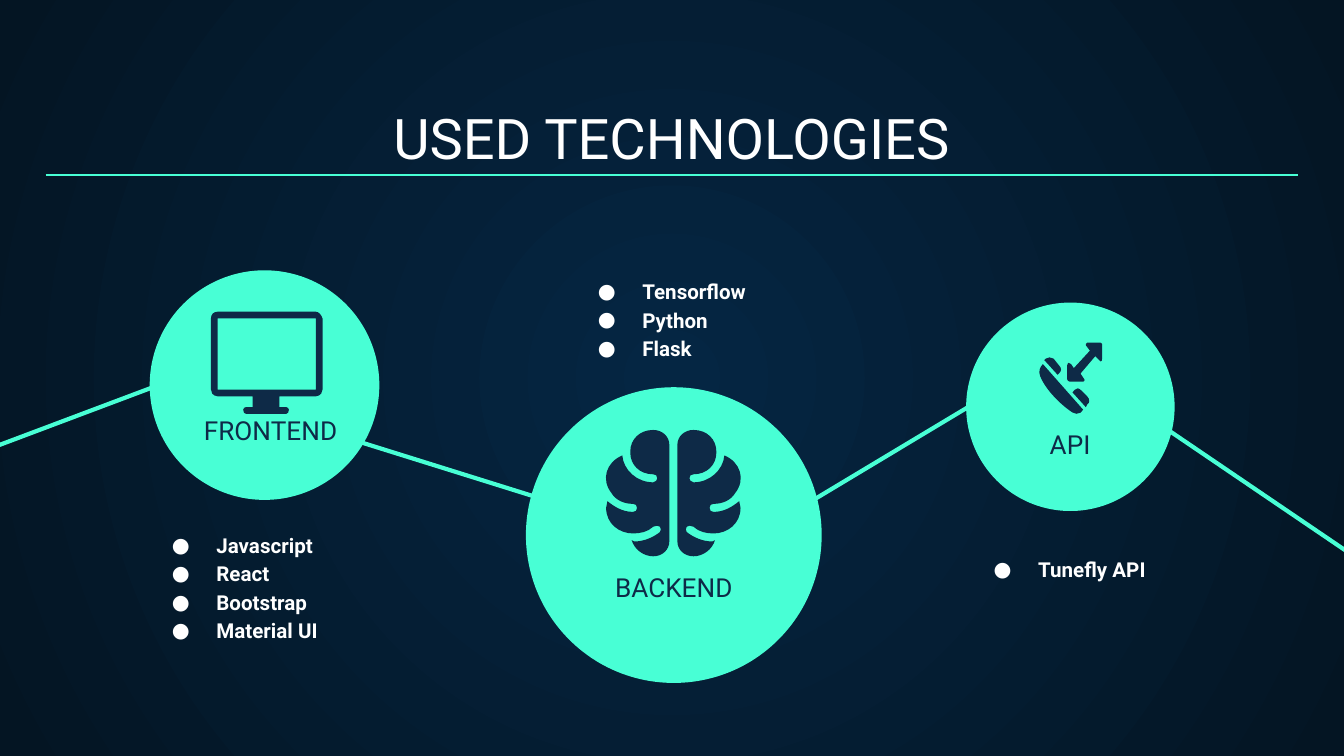
from typing import NamedTuple

from lxml.etree import SubElement
from pptx import Presentation
from pptx.dml.color import RGBColor
from pptx.enum.shapes import MSO_CONNECTOR, MSO_SHAPE
from pptx.enum.text import MSO_ANCHOR, PP_ALIGN
from pptx.oxml.ns import qn
from pptx.slide import Slide
from pptx.text.text import TextFrame
from pptx.util import Cm, Pt

MINT = RGBColor(0x48, 0xFF, 0xD5)
NAVY = RGBColor(0x0E, 0x2A, 0x47)
WHITE = RGBColor(0xFF, 0xFF, 0xFF)
GLOW = RGBColor(0x05, 0x26, 0x43)
NIGHT = RGBColor(0x04, 0x15, 0x23)
FONT = "Roboto"
INSET = Cm(0.25)
ICON_UNIT = Cm(2.54) / 100
BRAIN_MIRROR = 1002


class Box(NamedTuple):
    left: float
    top: float
    width: float
    height: float


class Line(NamedTuple):
    start_x: float
    start_y: float
    end_x: float
    end_y: float
    points: float = 2.25


class Technology(NamedTuple):
    name: str
    circle: Box
    label: Box
    tools_box: Box
    tools: list[str]


TECHNOLOGIES = [
    Technology("FRONTEND", Box(2.83, 5.11, 4.34, 4.34), Box(2.23, 7.58, 5.77, 0.53),
               Box(2.57, 9.76, 3.94, 2.67),
               ["Javascript", "React", "Bootstrap", "Material UI"]),
    Technology("BACKEND", Box(9.94, 7.32, 5.59, 5.59), Box(9.85, 10.55, 5.77, 0.53),
               Box(10.62, 4.96, 3.94, 2.67), ["Tensorflow", "Python", "Flask"]),
    Technology("API", Box(18.26, 5.72, 3.94, 3.94), Box(17.34, 7.85, 5.77, 0.53),
               Box(18.1, 10.21, 3.94, 1.22), ["Tunefly API"]),
]
LINES = [
    Line(6.5, 8.26, 10.95, 9.65),
    Line(13.94, 10.31, 18.92, 7.32),
    Line(3.58, 7.06, -1.68, 9.04),
    Line(26.04, 10.82, 21.21, 7.54),
    Line(0.86, 3.31, 24.54, 3.31, 0.75),
]

MONITOR = """M 235 237 L 235 290 L 162 290 L 162 237 Z
M 162 232 C 159 232 157 234 157 237 L 157 290 C 157 291 157 292 158 293
C 159 294 160 295 162 295 L 188 295 L 188 303 L 183 303 C 182 303 181 304 181 305
C 181 307 182 308 183 308 L 213 308 C 214 308 215 307 215 305 C 215 304 214 303 213 303
L 208 303 L 208 295 L 235 295 C 237 295 238 294 239 293 C 239 292 240 291 240 290
L 240 237 C 239 234 237 232 235 232 Z"""
BRAIN_HALF = """M 516 320 C 509 320 504 325 504 331 L 504 403 C 504 409 509 414 516 414
C 523 414 530 409 532 402 C 531 402 531 403 530 403 C 523 403 516 400 511 396
C 510 395 510 393 511 392 C 512 391 514 391 516 392
C 520 396 526 397 531 397 C 541 397 551 390 551 378 C 551 376 551 375 550 373
C 545 377 539 381 531 381 C 529 381 528 380 528 378 C 528 376 529 375 531 375
C 538 375 544 372 547 367 C 555 357 551 344 539 339 C 538 350 528 359 516 359
C 514 359 513 357 513 356 C 513 354 514 353 516 353 C 526 353 533 346 533 337
L 533 336 C 533 327 526 320 516 320 Z"""
ARROWS = """M 809 255 C 809 255 808 255 808 256 C 808 256 808 257 808 257 L 811 261
L 799 274 L 797 271 C 796 270 796 270 795 270 C 795 270 794 271 794 272 L 794 282
C 794 283 795 284 796 284 L 805 284 C 806 284 807 284 807 283 C 807 283 807 282 806 281
L 804 278 L 815 265 L 818 268 C 818 269 819 269 819 269 C 820 269 820 268 820 267
L 820 256 C 820 256 820 255 819 255 Z"""
EARPIECE = """M 781 266 C 780 266 779 266 778 267 L 777 268 L 787 279 L 788 278
C 790 276 790 274 788 272 L 784 267 C 783 266 782 266 781 266 Z"""
MOUTHPIECE = """M 802 289 C 801 289 801 290 800 290 C 800 290 799 290 799 291 L 798 292
L 808 303 L 809 301 C 811 300 811 297 809 295 L 805 291 C 804 290 803 289 802 289 Z"""
HANDSET = """M 776 271 C 773 274 773 277 774 280 C 778 290 789 301 798 307
C 799 307 800 308 801 308 C 803 308 805 307 806 305 L 776 271 Z"""


def contour_points(contour: str, mirror: int | None) -> list[tuple[float, float]]:
    numbers = [float(token) for token in contour.split() if not token.isalpha()]
    return [((x if mirror is None else mirror - x) * ICON_UNIT, y * ICON_UNIT)
            for x, y in zip(numbers[::2], numbers[1::2])]


def bend_curves(shape, outline: str) -> None:
    geometry = next(shape.element.iter(qn("a:path")))
    segments = iter(geometry.findall(qn("a:lnTo")))
    for command in outline.split():
        if command == "L":
            next(segments)
        elif command == "C":
            corners = [next(segments) for _ in range(3)]
            curve = geometry.makeelement(qn("a:cubicBezTo"))
            corners[0].addprevious(curve)
            for corner in corners:
                curve.append(corner[0])
                geometry.remove(corner)


def draw_icon_part(shapes, outline: str, mirror: int | None = None) -> None:
    contours = [contour_points(part, mirror) for part in outline.split("Z") if part.strip()]
    builder = shapes.build_freeform(*contours[0][0])
    for index, points in enumerate(contours):
        if index:
            builder.move_to(*points[0])
        builder.add_line_segments(points[1:], close=True)
    shape = builder.convert_to_shape()
    bend_curves(shape, outline)
    paint(shape, NAVY)


def paint(shape, color: RGBColor) -> None:
    shape.shadow.inherit = False
    shape.fill.solid()
    shape.fill.fore_color.rgb = color
    shape.line.fill.background()


def draw_circle(slide: Slide, box: Box) -> None:
    paint(slide.shapes.add_shape(MSO_SHAPE.OVAL, *map(Cm, box)), MINT)


def draw_line(slide: Slide, line: Line) -> None:
    connector = slide.shapes.add_connector(MSO_CONNECTOR.STRAIGHT, *map(Cm, line[:4]))
    connector.line.color.rgb = MINT
    connector.line.width = Pt(line.points)
    SubElement(connector.element.spPr, qn("a:effectLst"))


def add_text_frame(slide: Slide, box: Box) -> TextFrame:
    frame = slide.shapes.add_textbox(*map(Cm, box)).text_frame
    frame.word_wrap = True
    frame.margin_left = frame.margin_right = frame.margin_top = frame.margin_bottom = INSET
    return frame


def set_font(paragraph, size: float, color: RGBColor, bold: bool = False) -> None:
    paragraph.font.name = FONT
    paragraph.font.size = Pt(size)
    paragraph.font.color.rgb = color
    paragraph.font.bold = bold


def draw_heading(slide: Slide, text: str, box: Box, size: float, color: RGBColor,
                 anchor: MSO_ANCHOR = MSO_ANCHOR.TOP) -> None:
    frame = add_text_frame(slide, box)
    frame.vertical_anchor = anchor
    paragraph = frame.paragraphs[0]
    paragraph.text = text
    paragraph.alignment = PP_ALIGN.CENTER
    set_font(paragraph, size, color)


def draw_tools(slide: Slide, tools: list[str], box: Box) -> None:
    frame = add_text_frame(slide, box)
    frame.text = "\n".join(tools)
    for paragraph in frame.paragraphs:
        paragraph.line_spacing = 1.15
        properties = paragraph._p.get_or_add_pPr()
        properties.set("marL", str(Cm(1.27)))
        properties.set("indent", str(-Cm(0.84)))
        bullet_color = SubElement(properties, qn("a:buClr"))
        SubElement(bullet_color, qn("a:srgbClr"), val=str(WHITE))
        SubElement(properties, qn("a:buFont"), typeface=FONT)
        SubElement(properties, qn("a:buChar"), char="●")
        set_font(paragraph, 11, WHITE, bold=True)


def draw_background(slide: Slide) -> None:
    fill = slide.background.fill
    fill.gradient()
    for stop, color in zip(fill.gradient_stops, (GLOW, NIGHT)):
        stop.color.rgb = color
    gradient = slide.element.find(".//" + qn("a:gradFill"))
    gradient.remove(gradient.find(qn("a:lin")))
    radial = SubElement(gradient, qn("a:path"), path="circle")
    SubElement(radial, qn("a:fillToRect"), l="50000", t="50000", r="50000", b="50000")


def main() -> None:
    presentation = Presentation()
    presentation.slide_width = Cm(25.4)
    presentation.slide_height = Cm(14.29)
    slide = presentation.slides.add_slide(presentation.slide_layouts[6])
    draw_background(slide)
    draw_heading(slide, "USED TECHNOLOGIES", Box(0.86, 1.79, 23.67, 1.68), 30, WHITE,
                 MSO_ANCHOR.BOTTOM)
    for technology in TECHNOLOGIES:
        draw_circle(slide, technology.circle)
    for line in LINES:
        draw_line(slide, line)
    draw_icon_part(slide.shapes, MONITOR)
    brain = slide.shapes.add_group_shape()
    for mirror in (None, BRAIN_MIRROR):
        draw_icon_part(brain.shapes, BRAIN_HALF, mirror)
    phone = slide.shapes.add_group_shape()
    for outline in (ARROWS, EARPIECE, MOUTHPIECE, HANDSET):
        draw_icon_part(phone.shapes, outline)
    for technology in TECHNOLOGIES:
        draw_heading(slide, technology.name, technology.label, 14, NAVY)
        draw_tools(slide, technology.tools, technology.tools_box)
    presentation.save("out.pptx")


if __name__ == "__main__":
    main()
